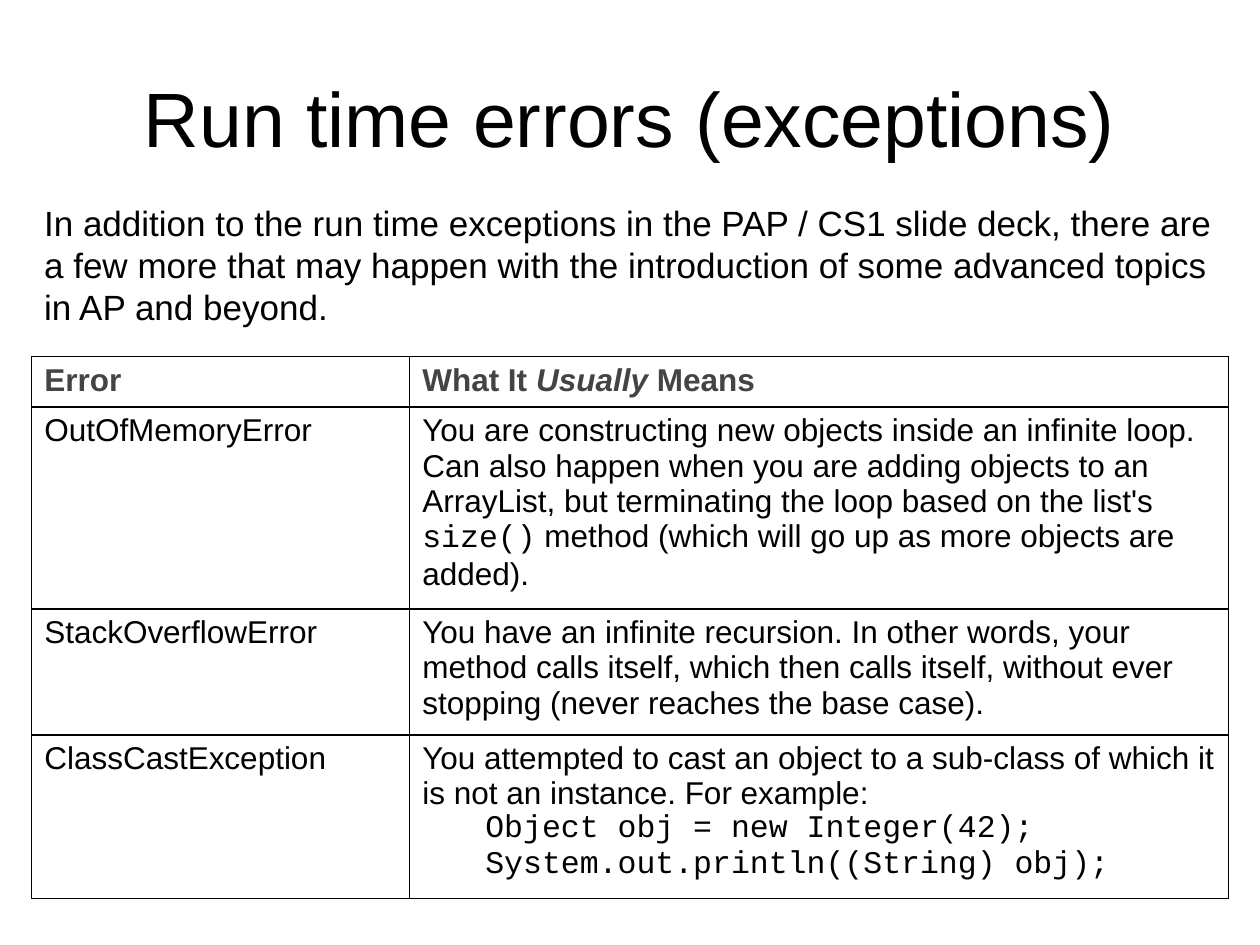
import pptx
import pptx.util
import pptx.dml.color
import pptx.enum.text
import pptx.oxml
import pptx.oxml.ns
from pptx.util import Cm

BLACK, GREY, WHITE = "000000", "444444", "FFFFFF"
CODE = "Courier New"


def color(hex_string):
    return pptx.dml.color.RGBColor.from_string(hex_string)


def write(paragraph, text, size=18, font="Arial", fill=BLACK, bold=False, italic=False):
    run = paragraph.add_run()
    run.text = text
    run.font.size = pptx.util.Pt(size)
    run.font.name = font
    run.font.color.rgb = color(fill)
    run.font.bold = bold
    run.font.italic = italic


deck = pptx.Presentation()
deck.slide_width, deck.slide_height = Cm(25.4), Cm(19.05)
slide = deck.slides.add_slide(deck.slide_layouts[6])

# Title and introduction
title = slide.shapes.add_textbox(Cm(1.27), Cm(0.76), Cm(22.86), Cm(3.18)).text_frame
title.word_wrap = True
title.vertical_anchor = pptx.enum.text.MSO_ANCHOR.MIDDLE
title.paragraphs[0].alignment = pptx.enum.text.PP_ALIGN.CENTER
write(title.paragraphs[0], "Run time errors (exceptions)", size=44)

intro = slide.shapes.add_textbox(Cm(0.64), Cm(3.94), Cm(24.13), Cm(2.82)).text_frame
intro.word_wrap = True
write(intro.paragraphs[0],
      "In addition to the run time exceptions in the PAP / CS1 slide deck, there are a few more "
      "that may happen with the introduction of some advanced topics in AP and beyond.", size=20)

# Each cell is a list of paragraphs, each paragraph a list of (text, format) runs
heading = {"fill": GREY, "bold": True}
code = {"font": CODE}
error_rows = [
    ([[("Error", heading)]],
     [[("What It\u00a0", heading), ("Usually", {**heading, "italic": True}),
       ("\u00a0Means", heading)]]),
    ([[("OutOfMemoryError", {})]],
     [[("You are constructing new objects inside an infinite loop.", {})],
      [("Can also happen when you are adding objects to an ArrayList, but terminating "
        "the loop based on the list's ", {}),
       ("size()", code),
       (" method (which will go up as more objects are added).", {})]]),
    ([[("StackOverflowError", {})]],
     [[("You have an infinite recursion. In other words, your method calls itself, which then "
        "calls itself, without ever stopping (never reaches the base case).", {})]]),
    ([[("ClassCastException", {})]],
     [[("You attempted to cast an object to a sub-class of which it is not an instance. "
        "For example:", {})],
      [("Object obj = new Integer(42); System.out.println((String) obj);", code)]]),
]
# Minimum heights: the rows grow to fit their text
row_heights = [0.51, 1.98, 1.24, 1.24]

errors = slide.shapes.add_table(len(error_rows), 2, Cm(0.64), Cm(7.19),
                                Cm(24.13), Cm(sum(row_heights))).table
for column, width in zip(errors.columns, (7.62, 16.51)):
    column.width = Cm(width)

for row, (height, contents) in enumerate(zip(row_heights, error_rows)):
    errors.rows[row].height = Cm(height)
    for column, paragraphs in enumerate(contents):
        cell = errors.cell(row, column)
        for number, runs in enumerate(paragraphs):
            frame = cell.text_frame
            paragraph = frame.add_paragraph() if number else frame.paragraphs[0]
            for text, style in runs:
                write(paragraph, text, **style)
            if runs[0][1] is code:
                paragraph.level = 1
                properties = paragraph._p.get_or_add_pPr()
                properties.set("marL", str(Cm(1.27)))
                properties.set("indent", "0")
        cell_properties = cell._tc.get_or_add_tcPr()
        for side in ("lnL", "lnR", "lnT", "lnB"):
            cell_properties.append(pptx.oxml.parse_xml(
                f'<a:{side} {pptx.oxml.ns.nsdecls("a")} w="12700"><a:solidFill>'
                f'<a:srgbClr val="{BLACK}"/></a:solidFill></a:{side}>'))
        cell.fill.solid()
        cell.fill.fore_color.rgb = color(WHITE)

deck.save("out.pptx")
